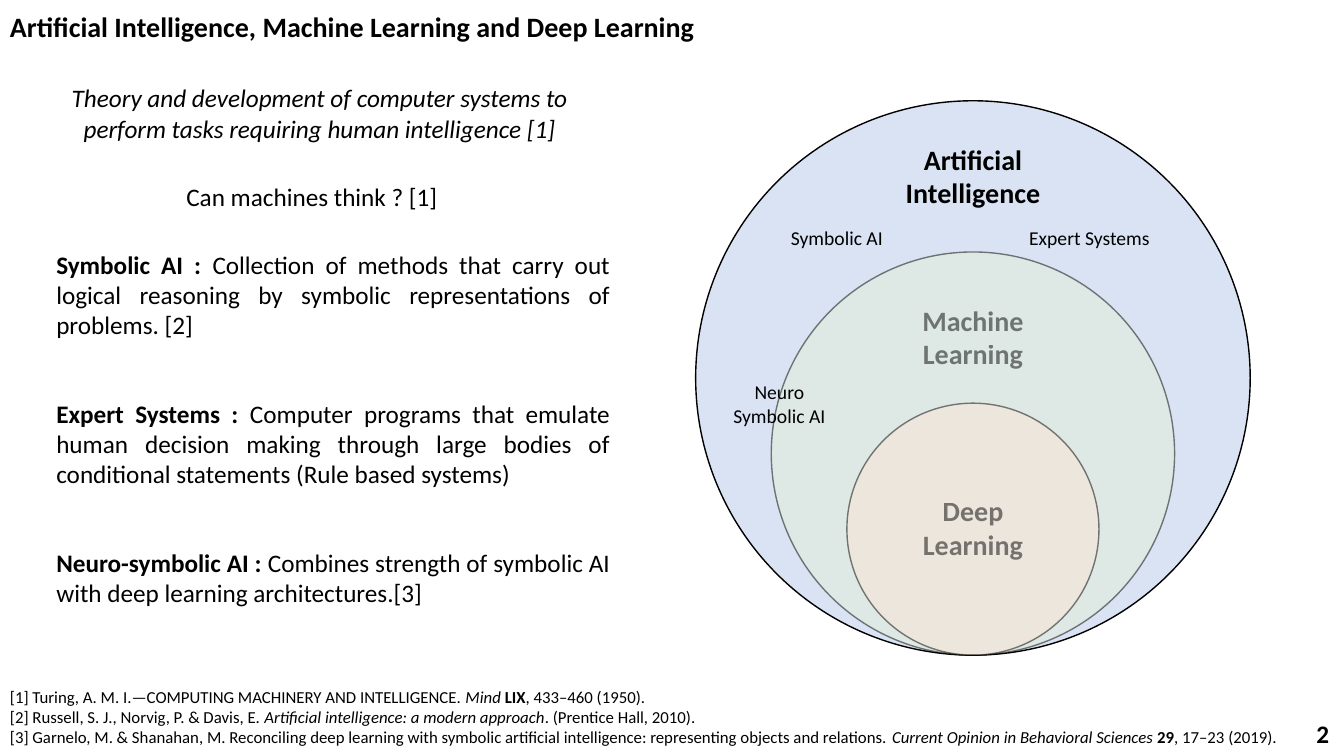
from lxml import etree
from pptx import Presentation
from pptx.dml.color import RGBColor
from pptx.enum.shapes import MSO_SHAPE
from pptx.enum.text import MSO_ANCHOR, PP_ALIGN
from pptx.oxml.ns import qn
from pptx.util import Emu, Pt

PX = 9144  # EMU per px, 100 px to the inch
SLIDE_SIZE = (1333, 750)
FONT = "Calibri"
COLORS = {"text": "000000", "ai": "DAE3F3", "ml": "E2F0D9", "dl": "FBE5D6"}
LEFT, CENTER, RIGHT, JUSTIFY = PP_ALIGN.LEFT, PP_ALIGN.CENTER, PP_ALIGN.RIGHT, PP_ALIGN.JUSTIFY
OVAL = MSO_SHAPE.OVAL
MIDDLE = MSO_ANCHOR.MIDDLE

# Each paragraph is a list of runs: (text, style), style "b" bold, "i" italic
TITLE = [[("Artificial Intelligence, Machine Learning and Deep Learning", "b")]]
THEORY = [[("Theory and development of computer systems to perform tasks "
            "requiring human intelligence [1]", "i")]]
QUESTION = [[("Can machines think ? [1]", "")]]
PAGE_NUMBER = [[("2", "b")]]
REFERENCES = [
    [("[1] Turing, A. M. I.—COMPUTING MACHINERY AND INTELLIGENCE. ", ""),
     ("Mind ", "i"), ("LIX", "b"), (", 433–460 (1950).", "")],
    [("[2] Russell, S. J., Norvig, P. & Davis, E. ", ""),
     ("Artificial intelligence: a modern approach", "i"), (". (Prentice Hall, 2010).", "")],
    [("[3] Garnelo, M. & Shanahan, M. Reconciling deep learning with symbolic artificial "
      "intelligence: representing objects and relations. ", ""),
     ("Current Opinion in Behavioral Sciences ", "i"), ("29", "b"), (", 17–23 (2019).", "")],
]
DEFINITIONS = [
    ("Symbolic AI : ", "Collection of methods that carry out logical reasoning by "
     "symbolic representations of problems. [2]"),
    ("Expert Systems : ", "Computer programs that emulate human decision making through "
     "large bodies of conditional statements (Rule based systems)"),
    ("Neuro-symbolic AI : ", "Combines strength of symbolic AI with deep learning "
     "architectures.[3]"),
]
DEFINITION_TOP, DEFINITION_STEP = 242, 148

# Circles share a centre line and a bottom: (colour, diameter, opacity, label top, label lines)
CIRCLES = [
    ("ai", 550, 100, 136, ["Artificial", "Intelligence"]),
    ("ml", 400, 50, 296, ["Machine", "Learning"]),
    ("dl", 250, 50, 485, ["Deep", "Learning"]),
]
CIRCLE_CENTER, CIRCLE_BOTTOM = 965, 650
LABEL_WIDTH, LABEL_HEIGHT = 233, 77

# Small labels: (box, lines)
TOPICS = [
    ((774, 219, 112, 34), ["Symbolic AI"]),
    ((1008, 219, 145, 34), ["Expert Systems"]),
    ((717, 372, 112, 57), ["Neuro", "Symbolic AI"]),
]


def emu(box):
    return [Emu(round(value * PX)) for value in box]


def paint(fill, color, opacity=100):
    """Make a fill solid, see-through when opacity is below 100 percent."""
    fill.solid()
    fill.fore_color.rgb = RGBColor.from_string(COLORS[color])
    if opacity < 100:
        for element in fill._xPr.iter(qn("a:srgbClr")):
            etree.SubElement(element, qn("a:alpha"), val=str(opacity * 1000))


def add_text(slide, box, paragraphs, size, align=LEFT, wrap=True, opacity=100, anchor=None):
    frame = slide.shapes.add_textbox(*emu(box)).text_frame
    frame.word_wrap = wrap
    if anchor is not None:
        frame.vertical_anchor = anchor
    for index, runs in enumerate(paragraphs):
        paragraph = frame.add_paragraph() if index else frame.paragraphs[0]
        paragraph.alignment = align
        for text, style in runs:
            run = paragraph.add_run()
            run.text = text
            run.font.name = FONT
            run.font.size = Pt(size)
            run.font.bold = style == "b"
            run.font.italic = style == "i"
            paint(run.font.fill, "text", opacity)


def add_circle(slide, color, diameter, opacity):
    left, top = CIRCLE_CENTER - diameter / 2, CIRCLE_BOTTOM - diameter
    circle = slide.shapes.add_shape(OVAL, *emu((left, top, diameter, diameter)))
    circle.shadow.inherit = False
    paint(circle.fill, color, opacity)
    paint(circle.line.fill, "text", opacity)
    circle.line.width = Pt(1)


def main():
    presentation = Presentation()
    presentation.slide_width, presentation.slide_height = emu(SLIDE_SIZE)
    slide = presentation.slides.add_slide(presentation.slide_layouts[6])

    add_text(slide, (0, 5, 726, 44), TITLE, 20, wrap=False)
    add_text(slide, (46, 77, 542, 71), THEORY, 18, CENTER)
    add_text(slide, (175, 175, 284, 40), QUESTION, 18, wrap=False)
    for index, (term, meaning) in enumerate(DEFINITIONS):
        top = DEFINITION_TOP + index * DEFINITION_STEP
        add_text(slide, (46, top, 569, 101), [[(term, "b"), (meaning, "")]], 18, JUSTIFY)
    add_text(slide, (0, 676, 1280, 71), REFERENCES, 12)
    add_text(slide, (1028, 708, 300, 40), PAGE_NUMBER, 18, RIGHT, anchor=MIDDLE)

    for color, diameter, opacity, _, _ in CIRCLES:
        add_circle(slide, color, diameter, opacity)
    for _, _, opacity, top, lines in CIRCLES:
        box = (CIRCLE_CENTER - LABEL_WIDTH / 2, top, LABEL_WIDTH, LABEL_HEIGHT)
        add_text(slide, box, [[(line, "b")] for line in lines], 20, CENTER, opacity=opacity)
    for box, lines in TOPICS:
        add_text(slide, box, [[(line, "")] for line in lines], 14, CENTER, wrap=False)

    presentation.save("out.pptx")


if __name__ == "__main__":
    main()
